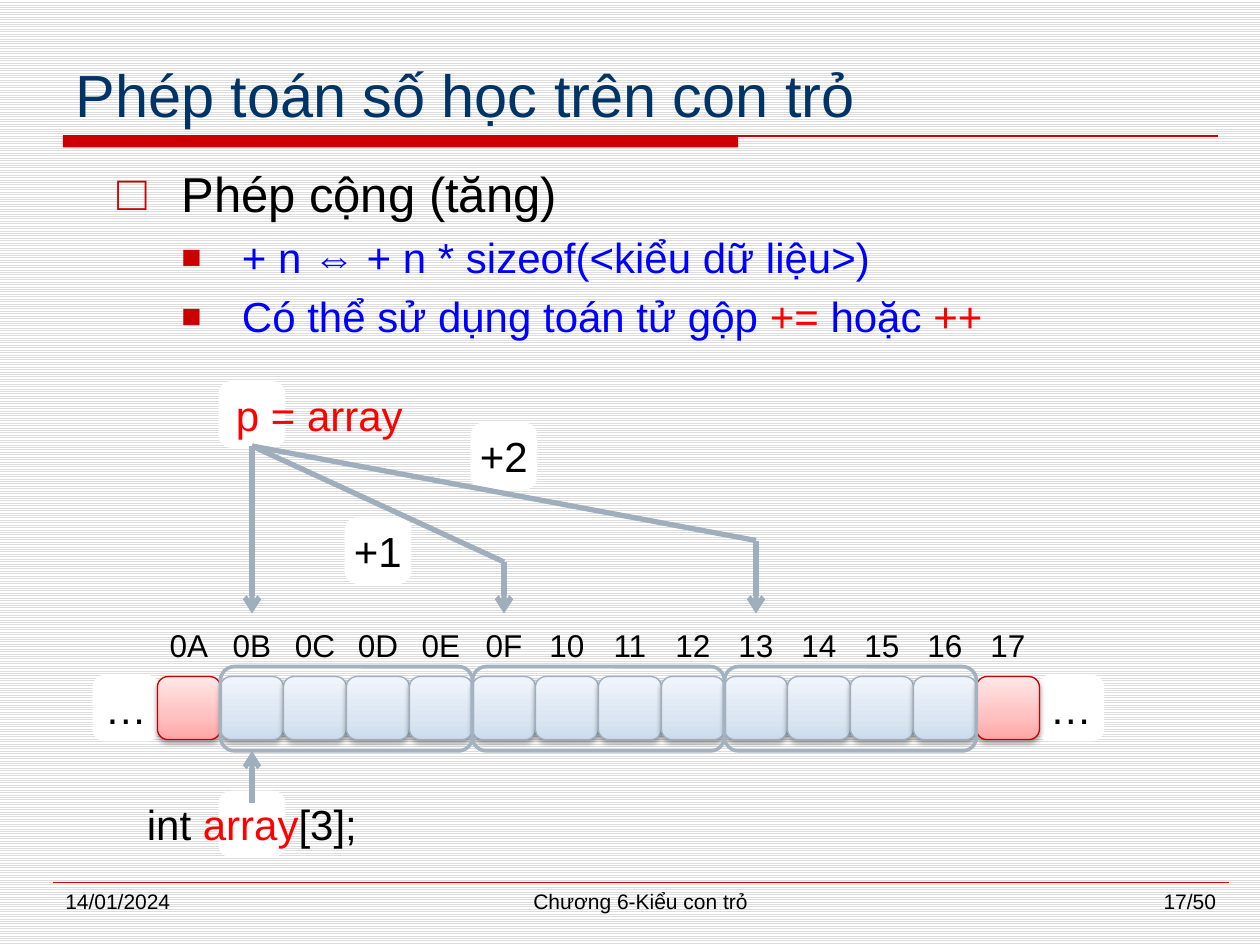
"""Build the slide on pointer arithmetic: adding to a pointer."""
import lxml.etree
import pptx
import pptx.dml.color
import pptx.enum.dml
import pptx.enum.shapes
import pptx.enum.text
import pptx.oxml
import pptx.oxml.ns
import pptx.util

Inches = pptx.util.Inches
Pt = pptx.util.Pt
RGB = pptx.dml.color.RGBColor
ALIGN = pptx.enum.text.PP_ALIGN
ANCHOR = pptx.enum.text.MSO_ANCHOR
SHAPE = pptx.enum.shapes.MSO_SHAPE
STRAIGHT = pptx.enum.shapes.MSO_CONNECTOR.STRAIGHT
qn = pptx.oxml.ns.qn

BLACK = RGB(0x00, 0x00, 0x00)
WHITE = RGB(0xFF, 0xFF, 0xFF)
RED = RGB(0xFF, 0x00, 0x00)
BLUE = RGB(0x00, 0x00, 0xFF)
NAVY = RGB(0x00, 0x33, 0x66)
CRIMSON = RGB(0xCC, 0x00, 0x00)
CELL_RED = RGB(0xC8, 0x00, 0x00)
STEEL = RGB(0x9F, 0xAE, 0xBD)
BRACKET = RGB(0xA3, 0xB2, 0xC1)
STRIPE = RGB(0xDD, 0xDD, 0xDD)
RED_STOPS = (RGB(0xFF, 0xA5, 0xA5), RGB(0xFF, 0xBF, 0xBF), RGB(0xFF, 0xE7, 0xE7))
BLUE_STOPS = (RGB(0xCC, 0xDC, 0xEE), RGB(0xDB, 0xE6, 0xF2), RGB(0xF0, 0xF5, 0xFB))

prs = pptx.Presentation()
prs.slide_width = Inches(10)
prs.slide_height = Inches(7.5)
s = prs.slides.add_slide(prs.slide_layouts[1])
bg = s.background.fill
bg.patterned()
bg.pattern = pptx.enum.dml.MSO_PATTERN.LIGHT_HORIZONTAL
bg.fore_color.rgb = STRIPE
bg.back_color.rgb = WHITE


def add_runs(p, runs, size, align):
    p.alignment = align
    for text, color in runs:
        r = p.add_run()
        r.text = text
        r.font.name = "Arial"
        r.font.size = Pt(size)
        r.font.color.rgb = color


def add_box(x, y, w=0.5, h=0.5, fill=None, line=None, width=2, runs=(), size=24, align=ALIGN.CENTER):
    sp = s.shapes.add_shape(SHAPE.ROUNDED_RECTANGLE, Inches(x), Inches(y), Inches(w), Inches(h))
    sp.shadow.inherit = False
    if fill is None:
        sp.fill.background()
    else:
        sp.fill.solid()
        sp.fill.fore_color.rgb = fill
    if line is None:
        sp.line.fill.background()
    else:
        sp.line.color.rgb = line
        sp.line.width = Pt(width)
    if runs:
        tf = sp.text_frame
        tf.word_wrap = False
        tf.vertical_anchor = ANCHOR.MIDDLE
        add_runs(tf.paragraphs[0], runs, size, align)
    return sp


title = s.shapes.title
title.left, title.top, title.width, title.height = Inches(0.5), Inches(0.33), Inches(9.17), Inches(0.75)
title.text_frame.vertical_anchor = ANCHOR.BOTTOM
add_runs(title.text_frame.paragraphs[0], [("Phép toán số học trên con trỏ", NAVY)], 34, ALIGN.LEFT)

body = s.placeholders[1]
body.left, body.top, body.width, body.height = Inches(0.83), Inches(1.25), Inches(8.67), Inches(5.67)
items = [
    (0, 28, 0.51, 0.51, "□", 100, [("Phép cộng (tăng)", BLACK)]),
    (1, 24, 0.99, 0.48, "■", 80, [("+ n ⇔ + n * sizeof(<kiểu dữ liệu>)", BLUE)]),
    (1, 24, 0.99, 0.48, "■", 80, [("Có thể sử dụng toán tử gộp ", BLUE), ("+=", RED),
                                  (" hoặc ", BLUE), ("++", RED)]),
]
tf = body.text_frame
for i, (level, size, margin, hanging, char, percent, runs) in enumerate(items):
    p = tf.add_paragraph() if i else tf.paragraphs[0]
    p.level = level
    pPr = p._p.get_or_add_pPr()
    pPr.set("marL", str(Inches(margin)))
    pPr.set("indent", str(-Inches(hanging)))
    color = lxml.etree.SubElement(pPr, qn("a:buClr"))
    lxml.etree.SubElement(color, qn("a:srgbClr"), val=str(CRIMSON))
    lxml.etree.SubElement(pPr, qn("a:buSzPct"), val=str(percent * 1000))
    lxml.etree.SubElement(pPr, qn("a:buFont"), typeface="Arial")
    lxml.etree.SubElement(pPr, qn("a:buChar"), char=char)
    p.space_before = Pt(5 if i else 0)
    add_runs(p, runs, size, ALIGN.JUSTIFY)

bar = s.shapes.add_shape(SHAPE.RECTANGLE, Inches(0.5), Inches(1.08), Inches(5.36), Inches(0.09))
bar.shadow.inherit = False
bar.fill.solid()
bar.fill.fore_color.rgb = CRIMSON
bar.line.fill.background()

add_box(3.75, 3.37, fill=WHITE, line=WHITE, runs=[("+2", BLACK)])
add_box(2.75, 4.12, fill=WHITE, line=WHITE, runs=[("+1", BLACK)])
for x in (0.75, 8.25):
    add_box(x, 5.37, fill=WHITE, line=WHITE, runs=[("…", BLACK)])
pointer = add_box(1.75, 3.04, fill=WHITE, line=WHITE, runs=[("p = array", RED)], align=ALIGN.LEFT)
add_box(1.75, 6.29, fill=WHITE, line=WHITE, runs=[("int ", BLACK), ("array", RED), ("[3];", BLACK)])

addresses = ["0A", "0B", "0C", "0D", "0E", "0F", "10", "11", "12", "13", "14", "15", "16", "17"]
labels = {}
for i, address in enumerate(addresses):
    x = 1.25 + 0.5 * i
    outside = i in (0, len(addresses) - 1)
    cell = add_box(x, 5.37, line=CELL_RED if outside else STEEL, width=0.75)
    cell.fill.gradient()
    cell.fill.gradient_angle = 90
    gs_list = cell._element.spPr.find(qn("a:gradFill")).find(qn("a:gsLst"))
    for gs in list(gs_list):
        gs_list.remove(gs)
    for position, color in zip((0, 35, 100), RED_STOPS if outside else BLUE_STOPS):
        gs = lxml.etree.SubElement(gs_list, qn("a:gs"), pos=str(position * 1000))
        lxml.etree.SubElement(gs, qn("a:srgbClr"), val=str(color))
    effects = cell._element.spPr.find(qn("a:effectLst"))
    shadow = lxml.etree.SubElement(effects, qn("a:outerShdw"), blurRad=str(Pt(3.1)),
                                   dist=str(Pt(1.6)), dir="5400000", rotWithShape="0")
    black = lxml.etree.SubElement(shadow, qn("a:srgbClr"), val=str(BLACK))
    lxml.etree.SubElement(black, qn("a:alpha"), val="38000")
    labels[address] = add_box(x, 4.87, runs=[(address, BLACK)], size=18)

for i in range(3):
    add_box(1.75 + 2 * i, 5.29, 2, 0.67, line=BRACKET)

connectors = [
    (0.5, 1.08, 9.67, 1.08, CRIMSON, 1.5, False, None, None),
    (0.42, 7, 9.75, 7, CRIMSON, 0.25, False, None, None),
    (2, 3.54, 2, 4.87, STEEL, 3, True, pointer, labels["0B"]),
    (2, 3.54, 4, 4.46, STEEL, 3, False, pointer, None),
    (4, 4.46, 4, 4.87, STEEL, 3, True, None, labels["0F"]),
    (2, 3.54, 6, 4.29, STEEL, 3, False, pointer, None),
    (6, 4.29, 6, 4.87, STEEL, 3, True, None, labels["13"]),
    (2, 6.37, 2, 5.96, STEEL, 3, True, None, None),
]
for x1, y1, x2, y2, color, width, arrow, start, end in connectors:
    c = s.shapes.add_connector(STRAIGHT, Inches(x1), Inches(y1), Inches(x2), Inches(y2))
    if start is not None:
        c.begin_connect(start, 2)
    if end is not None:
        c.end_connect(end, 0)
    c.line.color.rgb = color
    c.line.width = Pt(width)
    if arrow:
        lxml.etree.SubElement(c.line._get_or_add_ln(), qn("a:tailEnd"), type="arrow")
    lxml.etree.SubElement(c._element.spPr, qn("a:effectLst"))

footers = [
    (0.42, 2.17, "14/01/2024", ALIGN.LEFT),
    (2.92, 4.33, "Chương 6-Kiểu con trỏ", ALIGN.CENTER),
    (7.58, 2.17, "17/50", ALIGN.RIGHT),
]
for x, w, text, align in footers:
    tf = s.shapes.add_textbox(Inches(x), Inches(7), Inches(w), Inches(0.35)).text_frame
    tf.word_wrap = True
    add_runs(tf.paragraphs[0], [(text, BLACK)], 12, align)

prs.save("out.pptx")
